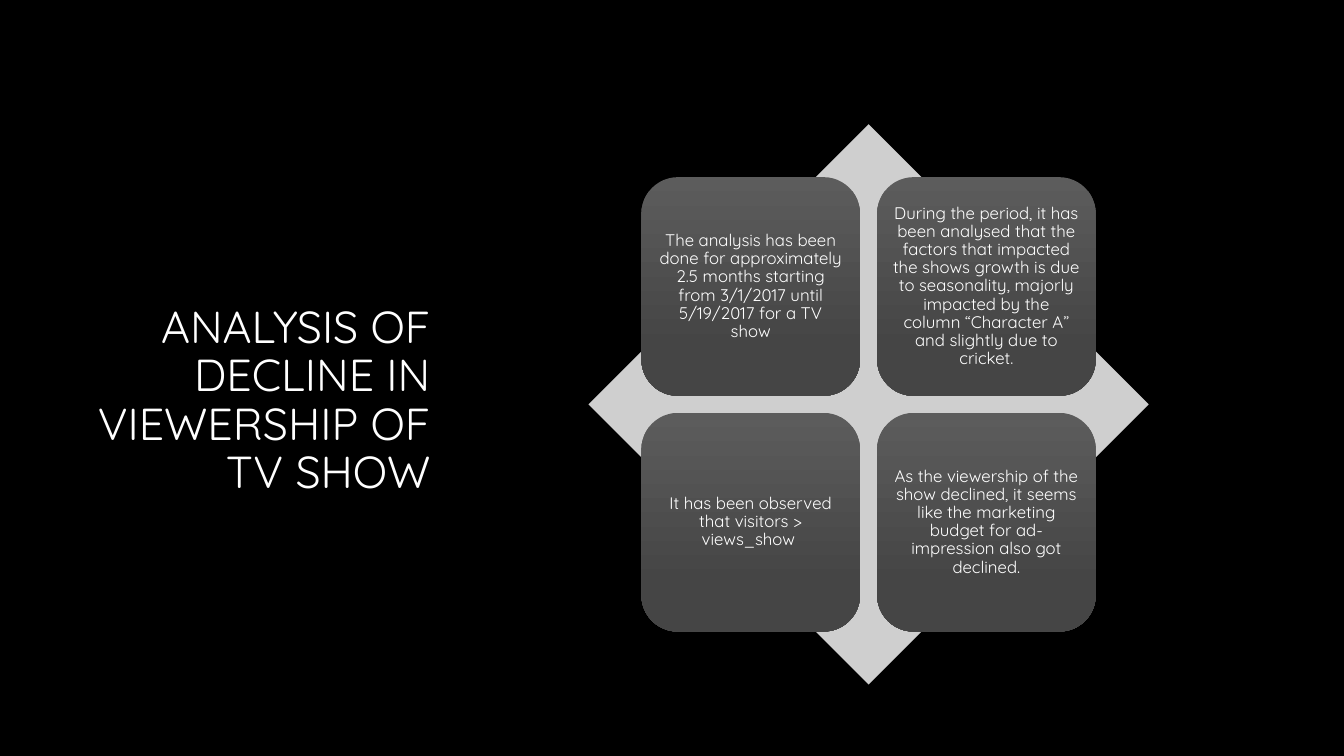
from pptx import Presentation
from pptx.dml.color import RGBColor
from pptx.enum.shapes import MSO_SHAPE
from pptx.enum.text import MSO_ANCHOR, MSO_AUTO_SIZE, PP_ALIGN
from pptx.util import Cm, Pt

DIAMOND, ROUND = MSO_SHAPE.DIAMOND, MSO_SHAPE.ROUNDED_RECTANGLE
MIDDLE, FIXED = MSO_ANCHOR.MIDDLE, MSO_AUTO_SIZE.NONE
CENTER, RIGHT = PP_ALIGN.CENTER, PP_ALIGN.RIGHT


def color(code):
    return RGBColor.from_string(code)


def write(frame, text, size=12, align=CENTER, inset=0.13, font="Quicksand", ink="FFFFFF"):
    frame.word_wrap = True
    frame.auto_size = FIXED
    frame.vertical_anchor = MIDDLE
    frame.margin_left = frame.margin_right = Cm(inset)
    frame.margin_top = frame.margin_bottom = Cm(0.13)
    para = frame.paragraphs[0]
    para.alignment = align
    para.line_spacing = 0.9
    run = para.add_run()
    run.text = text
    run.font.size = Pt(size)
    run.font.name = font
    run.font.color.rgb = color(ink)


class Board:
    back, pale, top, base = "000000", "CFCFCF", "5C5C5C", "454545"

    def __init__(self, deck):
        self.slide = deck.slides.add_slide(deck.slide_layouts[5])
        fill = self.slide.background.fill
        fill.solid()
        fill.fore_color.rgb = color(self.back)

    def title(self, text, x, y, w, h):
        title = self.slide.shapes.title
        title.left, title.top, title.width, title.height = map(Cm, (x, y, w, h))
        write(title.text_frame, text, size=32, align=RIGHT, inset=0.25)

    def shape(self, kind, x, y, side):
        """Add a square shape centred on x, y."""
        half = side / 2
        shape = self.slide.shapes.add_shape(
            kind, Cm(x - half), Cm(y - half), Cm(side), Cm(side))
        shape.shadow.inherit = False
        shape.line.fill.background()
        return shape

    def diamond(self, x, y, side):
        fill = self.shape(DIAMOND, x, y, side).fill
        fill.solid()
        fill.fore_color.rgb = color(self.pale)

    def card(self, text, x, y, side):
        card = self.shape(ROUND, x, y, side)
        card.fill.gradient()
        card.fill.gradient_angle = 270
        stops = zip(card.fill.gradient_stops, (0, 0.78), (self.top, self.base))
        for stop, place, code in stops:
            stop.position = place
            stop.color.rgb = color(code)
        write(card.text_frame, text)


def main():
    deck = Presentation()
    deck.slide_width, deck.slide_height = Cm(33.87), Cm(19.05)
    board = Board(deck)

    # Title on the left
    board.title("ANALYSIS OF DECLINE IN VIEWERSHIP OF TV SHOW", 1.9, 2.97, 9.2, 14.3)

    # Diamond with four cards around its centre
    mid_x, mid_y, step = 21.89, 10.19, 2.97
    board.diamond(mid_x, mid_y, 14.12)
    cards = [
        "The analysis has been done for approximately 2.5 months starting "
        "from 3/1/2017 until 5/19/2017 for a TV show",
        "During the period, it has been analysed that the factors that impacted "
        "the shows growth is due to seasonality, majorly impacted by the column "
        "“Character A” and slightly due to cricket.",
        "It has been observed that visitors > views_show ",
        "As the viewership of the show declined, it seems like the marketing "
        "budget for ad-impression also got declined.",
    ]
    for i, text in enumerate(cards):
        row, col = divmod(i, 2)
        board.card(text, mid_x + (2 * col - 1) * step, mid_y + (2 * row - 1) * step, 5.51)

    deck.save("out.pptx")


if __name__ == "__main__":
    main()
